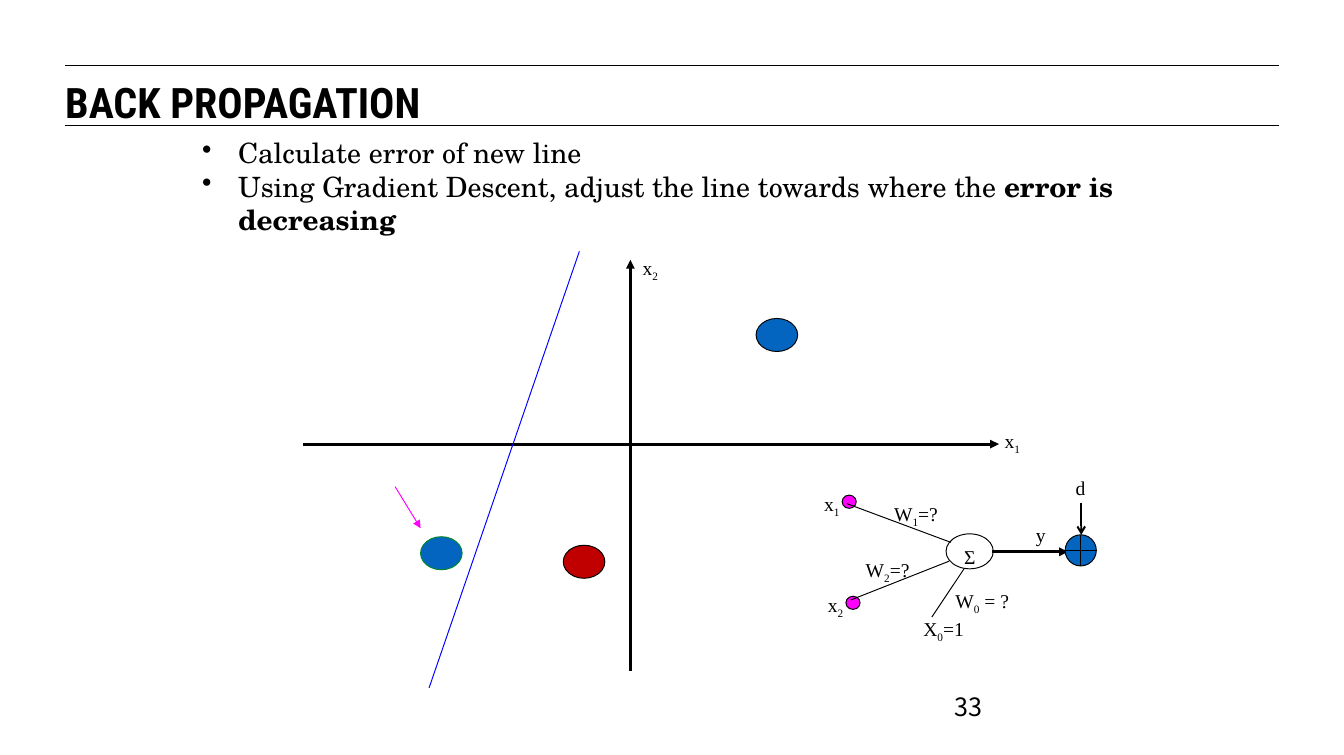
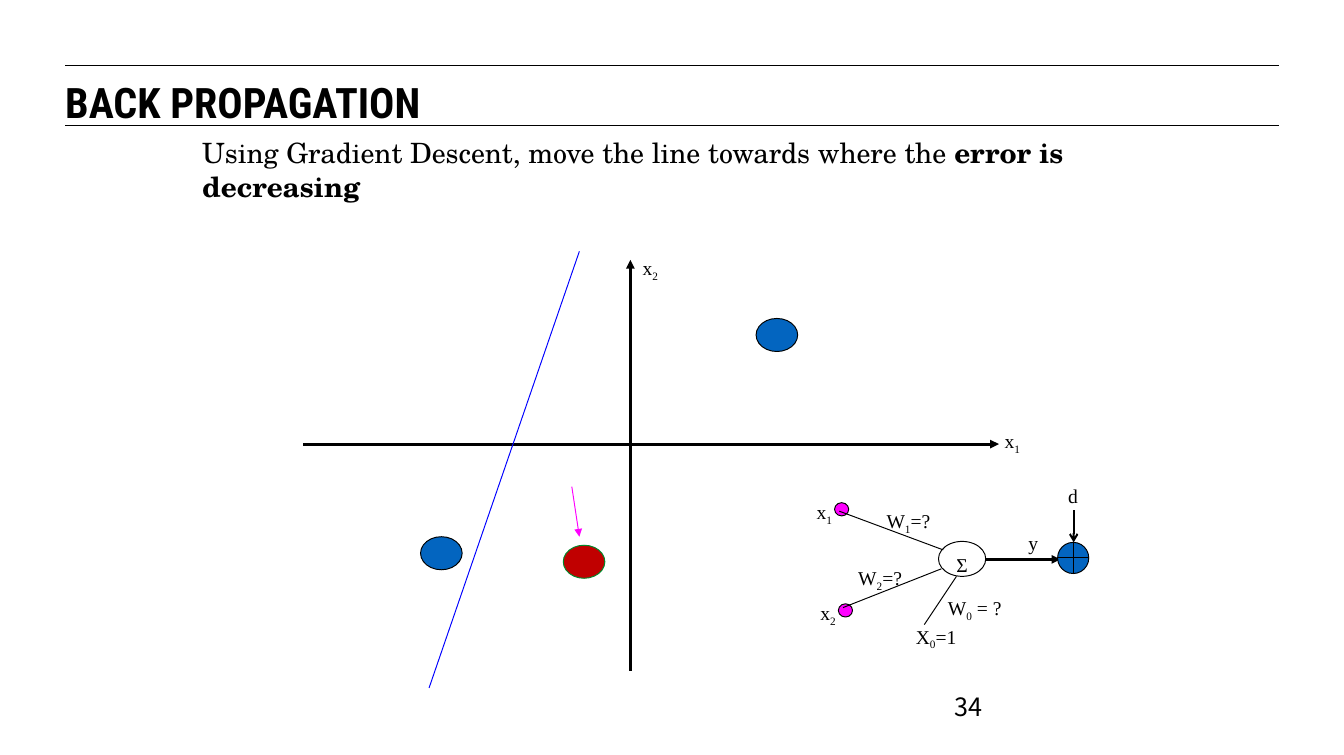
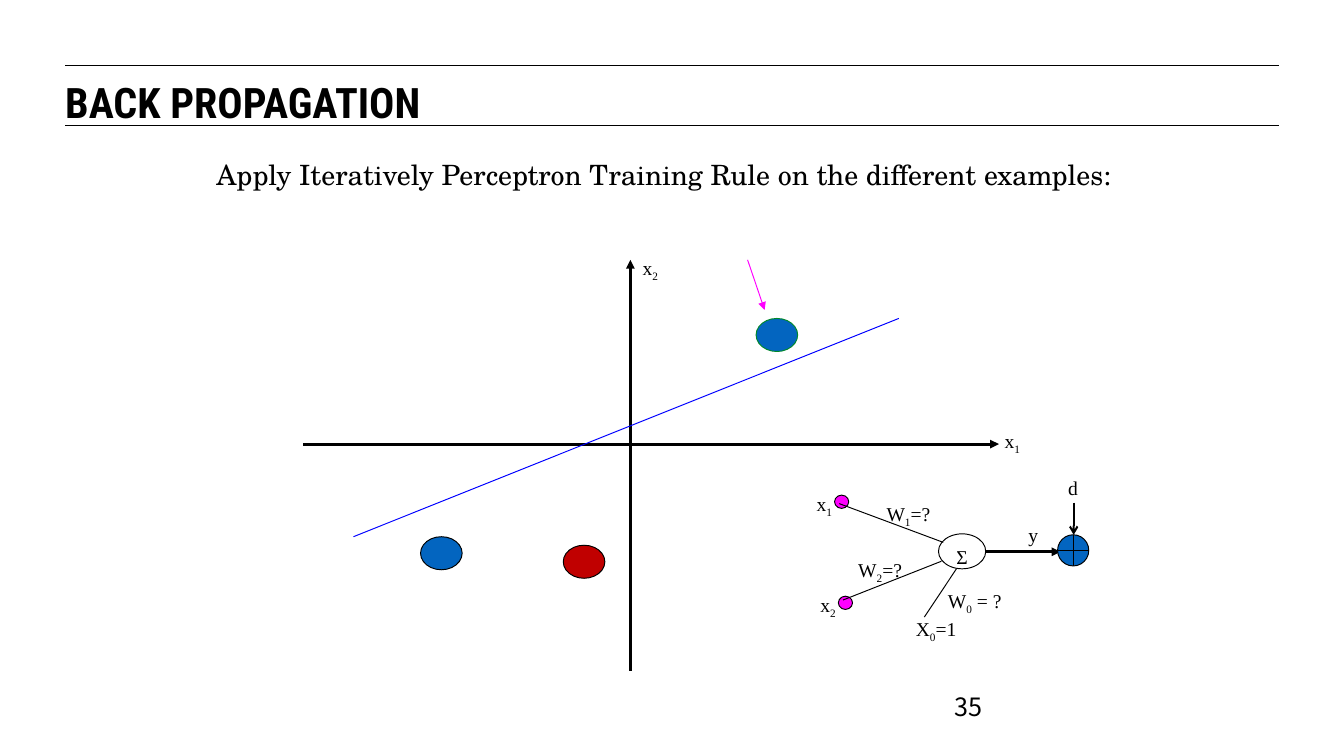
"""Three slides on back propagation: a decision line, its examples and the perceptron."""
from lxml import etree
from pptx import Presentation
from pptx.dml.color import RGBColor
from pptx.enum import shapes as kinds, text as t
from pptx.oxml.ns import qn
from pptx.util import Inches, Pt

COLORS = {"ink": "000000", "blue": "0365C0", "red": "C00000",
          "chosen": "00882B", "boundary": "0000FF", "pointer": "FF00FF"}
TITLE_FONT, BODY_FONT = "Roboto Condensed", "TeX Gyre Schola"
LABEL_FONT, NUMBER_FONT = "Times New Roman", "Noto Sans CJK KR"
EXAMPLES = {"left": (1.24, 3.02, "blue"), "middle": (2.75, 3.11, "red"),
            "right": (4.79, 0.71, "blue")}
STEEP = (2.92, 0, 1.33, 4.62)
FLAT = (6.3, 0.71, 0.53, 3.02)


def rgb(name):
    """Give the named colour."""
    return RGBColor.from_string(COLORS[name])


def style(run, font, size, bold=False):
    """Format one run of text."""
    run.font.name, run.font.size, run.font.bold = font, Pt(size), bold
    run.font.color.rgb = rgb("ink")


def add_line(shapes, ends, color="ink", width=0.75, head=None):
    """Draw a straight line, with an arrowhead at its end if one is named."""
    line = shapes.add_connector(kinds.MSO_CONNECTOR.STRAIGHT, *map(Inches, ends))
    line.line.color.rgb, line.line.width = rgb(color), Pt(width)
    if head:
        etree.SubElement(line.line._get_or_add_ln(), qn("a:tailEnd"), type=head)
    etree.SubElement(line._element.spPr, qn("a:effectLst"))
    return line


def add_node(shapes, box, fill=None, outline="ink", kind=kinds.MSO_SHAPE.OVAL):
    """Draw a round node, hollow when it has no fill colour."""
    node = shapes.add_shape(kind, *map(Inches, box))
    node.shadow.inherit = False
    if fill:
        node.fill.solid()
        node.fill.fore_color.rgb = rgb(fill)
    else:
        node.fill.background()
    node.line.color.rgb, node.line.width = rgb(outline), Pt(0.75)


def add_text_box(shapes, box, wrap=True):
    """Add an empty text box and return its frame."""
    frame = shapes.add_textbox(*map(Inches, box)).text_frame
    frame.word_wrap = wrap
    frame.margin_left = frame.margin_right = Inches(0.11)
    return frame


def add_label(shapes, left, top, width, letter, index="", rest=""):
    """Write a symbol with an optional subscript and the text after it."""
    frame = add_text_box(shapes, (left, top, width, 0.36), wrap=False)
    for part, words in enumerate((letter, index, rest)):
        if words:
            run = frame.paragraphs[0].add_run()
            run.text = words
            style(run, LABEL_FONT, 14.9)
            if part == 1:
                run.font._element.set("baseline", "-25000")


def add_bullet(paragraph):
    """Give a paragraph a hanging bullet."""
    properties = paragraph._p.get_or_add_pPr()
    properties.set("marL", str(Inches(0.38)))
    properties.set("indent", str(-Inches(0.38)))
    color = etree.SubElement(properties, qn("a:buClr"))
    etree.SubElement(color, qn("a:srgbClr"), val=COLORS["ink"])
    etree.SubElement(properties, qn("a:buChar"), char="•")


def add_rules(slide):
    """Place the two title rules on the layout that the slides share."""
    for y in (0.69, 1.33):
        rule = add_line(slide.shapes, (0.69, y, 13.53, y))
        slide.slide_layout.shapes.element.append(rule._element)


def add_heading(slide, number):
    """Set the title and the page number."""
    title = slide.shapes.title
    title.left, title.top, title.width, title.height = map(Inches, (0.69, 0.81, 12.83, 0.47))
    frame = title.text_frame
    frame.text = "BACK PROPAGATION"
    frame.auto_size = t.MSO_AUTO_SIZE.NONE
    frame.vertical_anchor = t.MSO_ANCHOR.TOP
    frame.margin_left = frame.margin_right = frame.margin_top = frame.margin_bottom = 0
    frame.paragraphs[0].alignment = t.PP_ALIGN.LEFT
    style(frame.paragraphs[0].runs[0], TITLE_FONT, 32, True)
    page = add_text_box(slide.shapes, (9.99, 7.27, 2.22, 0.53))
    page.text = str(number)
    style(page.paragraphs[0].runs[0], NUMBER_FONT, 19.2)


def add_message(slide, box, lines):
    """Write the message, bulleted if it has several lines, each plain then bold."""
    frame = add_text_box(slide.shapes, box)
    for place, parts in enumerate(lines):
        paragraph = frame.add_paragraph() if place else frame.paragraphs[0]
        if len(lines) > 1:
            add_bullet(paragraph)
        for bold, words in enumerate(parts):
            run = paragraph.add_run()
            run.text = words
            style(run, BODY_FONT, 21.3, bool(bold))


def add_plot(slide, left, top, chosen, boundary, pointer):
    """Draw the axes, the examples, the boundary and the pointer to the chosen one."""
    def at(x1, y1, x2, y2):
        return left + x1, top + y1, left + x2, top + y2

    shapes = slide.shapes
    add_line(shapes, at(3.46, 4.44, 3.46, 0.09), width=2.25, head="triangle")
    add_line(shapes, at(0, 2.04, 7.36, 2.04), width=2.25, head="triangle")
    for name, (x, y, fill) in EXAMPLES.items():
        outline = "chosen" if name == chosen else "ink"
        add_node(shapes, (left + x, top + y, 0.44, 0.35), fill, outline)
    add_line(shapes, at(*boundary), "boundary")
    add_line(shapes, at(*pointer), "pointer", head="triangle")
    add_label(shapes, left + 7.31, top + 1.83, 0.39, "x", "1")
    add_label(shapes, left + 3.48, top, 0.39, "x", "2")


def add_perceptron(slide, left, top):
    """Draw the perceptron as one group, from its inputs to its error node."""
    shapes = slide.shapes.add_group_shape().shapes
    for x, y in ((0.34, 1.32), (0.3, 0.25)):
        add_node(shapes, (left + x, top + y, 0.15, 0.14), "pointer")
    add_node(shapes, (left + 1.4, top + 0.66, 0.5, 0.37))
    for x1, y1, x2, y2, width, head in (
            (0.35, 0.34, 1.45, 0.75, 0.75, None),
            (0.39, 1.36, 1.43, 0.95, 0.75, None),
            (1.25, 1.54, 1.59, 1.03, 0.75, None),
            (1.89, 0.85, 2.69, 0.85, 2.25, "triangle"),
            (2.83, 0.33, 2.83, 0.67, 1.5, "arrow")):
        ends = left + x1, top + y1, left + x2, top + y2
        add_line(shapes, ends, width=width, head=head)
    add_node(shapes, (left + 2.66, top + 0.67, 0.33, 0.33), "blue",
             kind=kinds.MSO_SHAPE.FLOWCHART_OR)
    for x, y, width, *words in (
            (0, 0.17, 0.39, "x", "1"), (0.04, 1.24, 0.39, "x", "2"),
            (1.05, 1.49, 0.66, "X", "0", "=1"), (1.39, 1.19, 0.8, "W", "0", " = ?"),
            (0.74, 0.27, 0.69, "W", "1", "=?"), (0.44, 0.87, 0.69, "W", "2", "=?"),
            (1.48, 0.73, 0.34, "Σ"), (2.24, 0.5, 0.32, "y"), (2.66, 0, 0.32, "d")):
        add_label(shapes, left + x, top + y, width, *words)


SLIDES = (
    {"message": ((2.03, 1.39, 11.5, 0.82), (
        ("Calculate error of new line",),
        ("Using Gradient Descent, adjust the line towards where the ", "error is decreasing"))),
     "plot": ("left", STEEP, (0.97, 2.49, 1.24, 2.93)), "perceptron": (8.61, 4.99)},
    {"message": ((2.03, 1.39, 10.75, 0.47), (
        ("Using Gradient Descent, move the line towards where the ", "error is decreasing"),)),
     "plot": ("middle", STEEP, (2.84, 2.49, 2.92, 3.02)), "perceptron": (8.53, 5.07)},
    {"message": ((2.18, 1.62, 10.03, 0.47), (
        ("Apply Iteratively Perceptron Training Rule on the different examples:",),)),
     "plot": ("right", FLAT, (4.7, 0.09, 4.88, 0.62)), "perceptron": (8.53, 4.99)},
)


def main():
    """Build the slides and save them."""
    deck = Presentation()
    deck.slide_width, deck.slide_height = Inches(14.22), Inches(7.99)
    for number, content in enumerate(SLIDES, 33):
        slide = deck.slides.add_slide(deck.slide_layouts[5])
        if number == 33:
            add_rules(slide)
        add_heading(slide, number)
        add_message(slide, *content["message"])
        add_plot(slide, 3.21, 2.66, *content["plot"])
        add_perceptron(slide, *content["perceptron"])
    deck.save("out.pptx")


if __name__ == "__main__":
    main()
